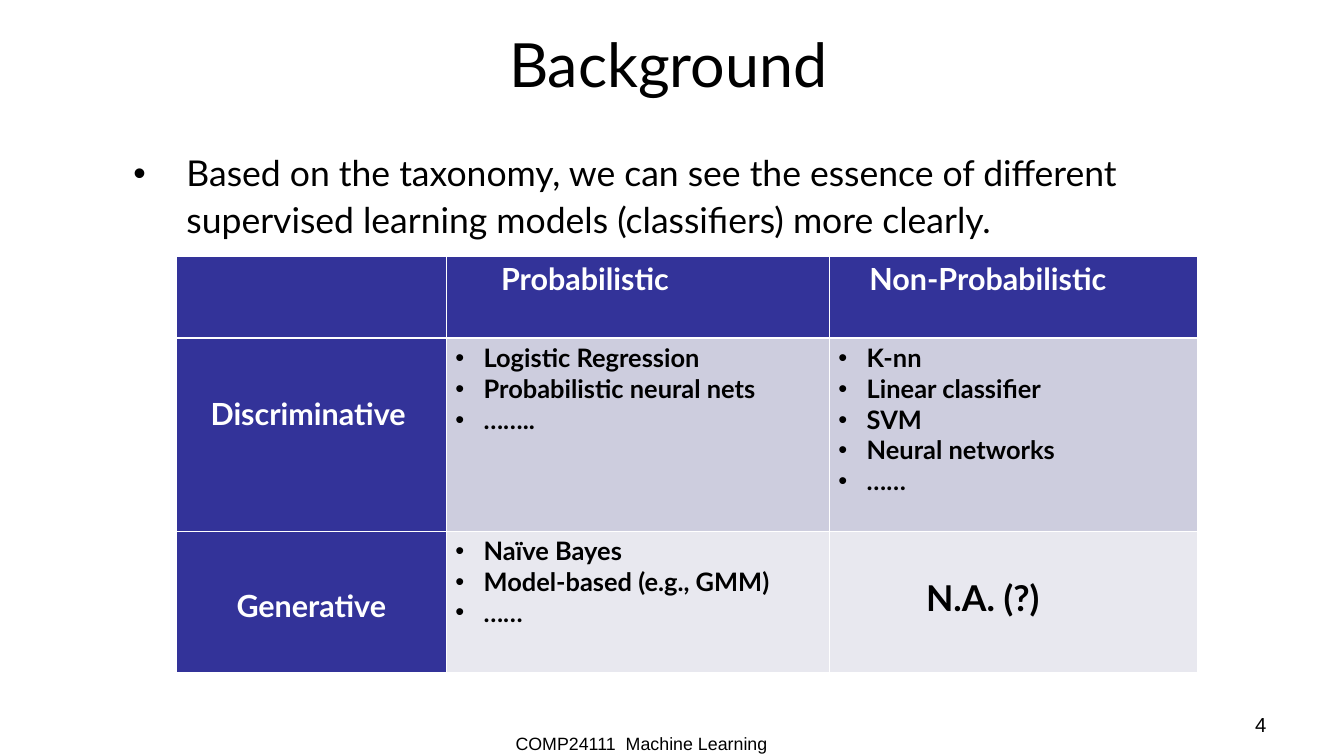
from lxml import etree
from pptx import Presentation
from pptx import util as u
from pptx.dml import color
from pptx.enum import text
from pptx.oxml import ns

BLACK, WHITE, NAVY = "000000", "FFFFFF", "333399"
LILAC, PALE = "CDCDDE", "E8E8EF"
LEFT, CENTER, RIGHT = text.PP_ALIGN.LEFT, text.PP_ALIGN.CENTER, text.PP_ALIGN.RIGHT
THIN, THICK = 0.45, 1.47


def rgb(value):
    """Turn a hex string into a colour."""
    return color.RGBColor.from_string(value)


def add_bullets(paragraph, indent):
    """Give a paragraph a round bullet with a hanging indent."""
    props = paragraph._p.get_or_add_pPr()
    props.set("marL", str(u.Inches(indent)))
    props.set("indent", str(-u.Inches(indent)))
    etree.SubElement(props, ns.qn("a:buFont"), typeface="Arial")
    etree.SubElement(props, ns.qn("a:buChar"), char="•")


def add_borders(cell, widths):
    """Draw white lines on the left, right, top and bottom of a cell."""
    props = cell._tc.get_or_add_tcPr()
    for index, (side, width) in enumerate(zip("LRTB", widths)):
        line = etree.Element(ns.qn(f"a:ln{side}"), w=str(u.Pt(width)))
        fill = etree.SubElement(line, ns.qn("a:solidFill"))
        etree.SubElement(fill, ns.qn("a:srgbClr"), val=WHITE)
        props.insert(index, line)


class Builder:
    """Holds the style and the current slide."""

    font = "Lato"
    small_font = "Arial"

    def __init__(self, page):
        """Keep the slide to draw on."""
        self.page = page

    def set_text(self, frame, words, size, ink=BLACK, font=None, bold=False,
                 align=LEFT, indent=0):
        """Fill a text frame and format every paragraph."""
        frame.text = words
        for para in frame.paragraphs:
            para.alignment = align
            if indent:
                add_bullets(para, indent)
            for span in para.runs:
                span.font.name = font or self.font
                span.font.size = u.Pt(size)
                span.font.bold = bold
                span.font.color.rgb = rgb(ink)

    def title(self, words, left, top, width, height):
        """Place and fill the title placeholder."""
        box = self.page.shapes.title
        box.left, box.top = u.Inches(left), u.Inches(top)
        box.width, box.height = u.Inches(width), u.Inches(height)
        box.text_frame.vertical_anchor = text.MSO_ANCHOR.MIDDLE
        self.set_text(box.text_frame, words, 48, align=CENTER)

    def text_box(self, words, left, top, width, height, size, wrap=True, **style):
        """Add a text box and return its frame."""
        box = self.page.shapes.add_textbox(*map(u.Inches, (left, top, width, height)))
        frame = box.text_frame
        frame.word_wrap = wrap
        if wrap:
            frame.margin_left = frame.margin_right = u.Inches(0.11)
            frame.margin_top = frame.margin_bottom = u.Inches(0.06)
        self.set_text(frame, words, size, **style)
        return frame

    def cell(self, cell, words, fill, margins=(0.1, 0.05, 0.1), **style):
        """Fill one table cell; margins are left, top and right."""
        cell.margin_left, cell.margin_top, cell.margin_right = map(u.Inches, margins)
        cell.fill.solid()
        cell.fill.fore_color.rgb = rgb(fill)
        self.set_text(cell.text_frame, words, bold=True, **style)

    def table(self, left, top, widths, heights, rows):
        """Add a table from rows of (words, fill, style) cells."""
        area = map(u.Inches, (left, top, sum(widths), sum(heights)))
        table = self.page.shapes.add_table(len(rows), len(widths), *area).table
        for column, width in zip(table.columns, widths):
            column.width = u.Inches(width)
        for r, (height, row) in enumerate(zip(heights, rows)):
            table.rows[r].height = u.Inches(height)
            upper = THICK if r == 1 else THIN
            lower = THICK if r == 0 else THIN
            for c, (words, fill, style) in enumerate(row):
                self.cell(table.cell(r, c), words, fill, **style)
                add_borders(table.cell(r, c), (THIN, THIN, upper, lower))


deck = Presentation()
deck.slide_width, deck.slide_height = u.Inches(14.7), u.Inches(8.27)
slide = Builder(deck.slides.add_slide(deck.slide_layouts[5]))

slide.text_box("COMP24111  Machine Learning", 5.54, 7.97, 2.98, 0.34, 14,
               wrap=False, font=slide.small_font)
slide.text_box("4", 10.53, 7.73, 3.43, 0.57, 16, font=slide.small_font, align=RIGHT)
slide.title("Background", 1.68, 0, 11.26, 1.38)

intro = slide.text_box(
    "Based on the taxonomy, we can see the essence of different "
    "supervised learning models (classifiers) more clearly.",
    1.35, 1.55, 12.42, 6.18, 28, indent=0.58)
intro.paragraphs[0].line_spacing = 1.1
intro.paragraphs[0].space_before = u.Pt(7)

heading = {"size": 24, "ink": WHITE}
models = {"size": 20, "indent": 0.31}
taxonomy = [
    [("", NAVY, heading),
     ("Probabilistic", NAVY, {**heading, "margins": (0.6, 0.05, 0.1)}),
     ("Non-Probabilistic", NAVY, {**heading, "margins": (0.44, 0.05, 0.1)})],
    [("Discriminative", NAVY,
      {**heading, "align": CENTER, "margins": (0.1, 0.63, 0.17)}),
     ("Logistic Regression\nProbabilistic neural nets\n……..", LILAC, models),
     ("K-nn\nLinear classifier\nSVM\nNeural networks\n……", LILAC, models)],
    [("Generative", NAVY, {**heading, "align": CENTER, "margins": (0.1, 0.62, 0.1)}),
     ("Naïve Bayes\nModel-based (e.g., GMM)\n……", PALE, models),
     ("N.A. (?)", PALE, {"size": 28, "margins": (1.06, 0.5, 0.1)})],
]
slide.table(1.93, 2.8, (2.95, 4.19, 4.03), (0.9, 2.11, 1.54), taxonomy)

deck.save("out.pptx")
